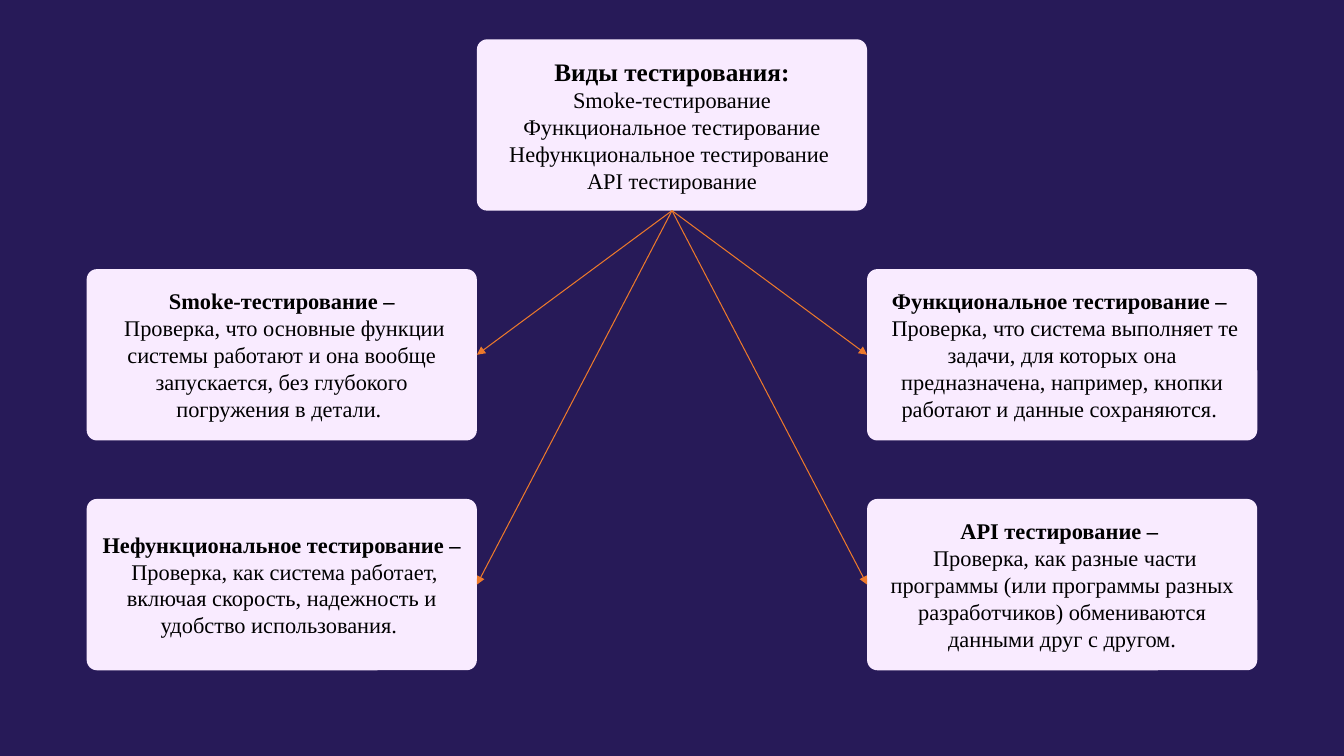
from lxml import etree
from pptx import Presentation
from pptx.dml.color import RGBColor
from pptx.enum import shapes, text
from pptx.oxml.ns import qn
from pptx.util import Inches, Pt

NAVY = RGBColor(0x27, 0x1A, 0x58)
LILAC = RGBColor(0xF9, 0xEB, 0xFF)
ORANGE = RGBColor(0xEC, 0x79, 0x2B)
BLACK = RGBColor(0, 0, 0)
FONT = "Times New Roman"

CARD_W, CARD_H = 3.87, 1.7
LEFT_X, MIDDLE_X, RIGHT_X = (0.86 + CARD_W * i for i in range(3))
ROW_Y = [0.39 + 2.28 * i for i in range(3)]
TOP, LEFT, BOTTOM, RIGHT = range(4)  # connection sites of a rounded rectangle

OVERVIEW = [
    " Smoke-тестирование ",
    "Функциональное тестирование Нефункциональное тестирование ",
    "API тестирование",
]
# left edge, row, site the arrow reaches, heading, description
TEST_TYPES = [
    (LEFT_X, 1, RIGHT, "Smoke-тестирование –",
     " Проверка, что основные функции системы работают и она вообще "
     "запускается, без глубокого погружения в детали. "),
    (RIGHT_X, 1, LEFT, "Функциональное тестирование – ",
     " Проверка, что система выполняет те задачи, для которых она "
     "предназначена, например, кнопки работают и данные сохраняются. "),
    (LEFT_X, 2, RIGHT, "Нефункциональное тестирование –",
     " Проверка, как система работает, включая скорость, надежность и "
     "удобство использования. "),
    (RIGHT_X, 2, LEFT, "API тестирование – ",
     " Проверка, как разные части программы (или программы разных "
     "разработчиков) обмениваются данными друг с другом."),
]


def add_line(p, content, size, bold):
    p.alignment = text.PP_ALIGN.CENTER
    r = p.add_run()
    r.text = content
    r.font.name = FONT
    r.font.size = Pt(size)
    r.font.bold = bold
    r.font.color.rgb = BLACK


def add_card(s, x, y, heading, lines, heading_size=16):
    sp = s.shapes.add_shape(shapes.MSO_SHAPE.ROUNDED_RECTANGLE,
                            Inches(x), Inches(y), Inches(CARD_W), Inches(CARD_H))
    sp.adjustments[0] = 0.06
    sp.shadow.inherit = False
    sp.fill.solid()
    sp.fill.fore_color.rgb = LILAC
    sp.line.fill.background()
    tf = sp.text_frame
    tf.word_wrap = True
    tf.vertical_anchor = text.MSO_ANCHOR.MIDDLE
    tf.margin_left = tf.margin_right = Inches(0.1)
    tf.margin_top = tf.margin_bottom = Inches(0.1)
    add_line(tf.paragraphs[0], heading, heading_size, True)
    for line in lines:
        add_line(tf.add_paragraph(), line, 16, False)
    return sp


def add_arrow(s, start, end, end_site):
    """Join the bottom of one card to a side of another."""
    c = s.shapes.add_connector(shapes.MSO_CONNECTOR.STRAIGHT, 0, 0, 0, 0)
    c.begin_connect(start, BOTTOM)
    c.end_connect(end, end_site)
    c.line.color.rgb = ORANGE
    c.line.width = Pt(0.75)
    etree.SubElement(c.line._get_or_add_ln(), qn("a:tailEnd"), type="triangle")
    etree.SubElement(c._element.spPr, qn("a:effectLst"))


def main():
    prs = Presentation()
    prs.slide_width, prs.slide_height = Inches(13.33), Inches(7.5)
    s = prs.slides.add_slide(prs.slide_layouts[6])
    s.background.fill.solid()
    s.background.fill.fore_color.rgb = NAVY

    overview = add_card(s, MIDDLE_X, ROW_Y[0], "Виды тестирования:", OVERVIEW, 18)
    for x, row, site, heading, description in TEST_TYPES:
        card = add_card(s, x, ROW_Y[row], heading, [description])
        add_arrow(s, overview, card, site)
    prs.save("out.pptx")


if __name__ == "__main__":
    main()
